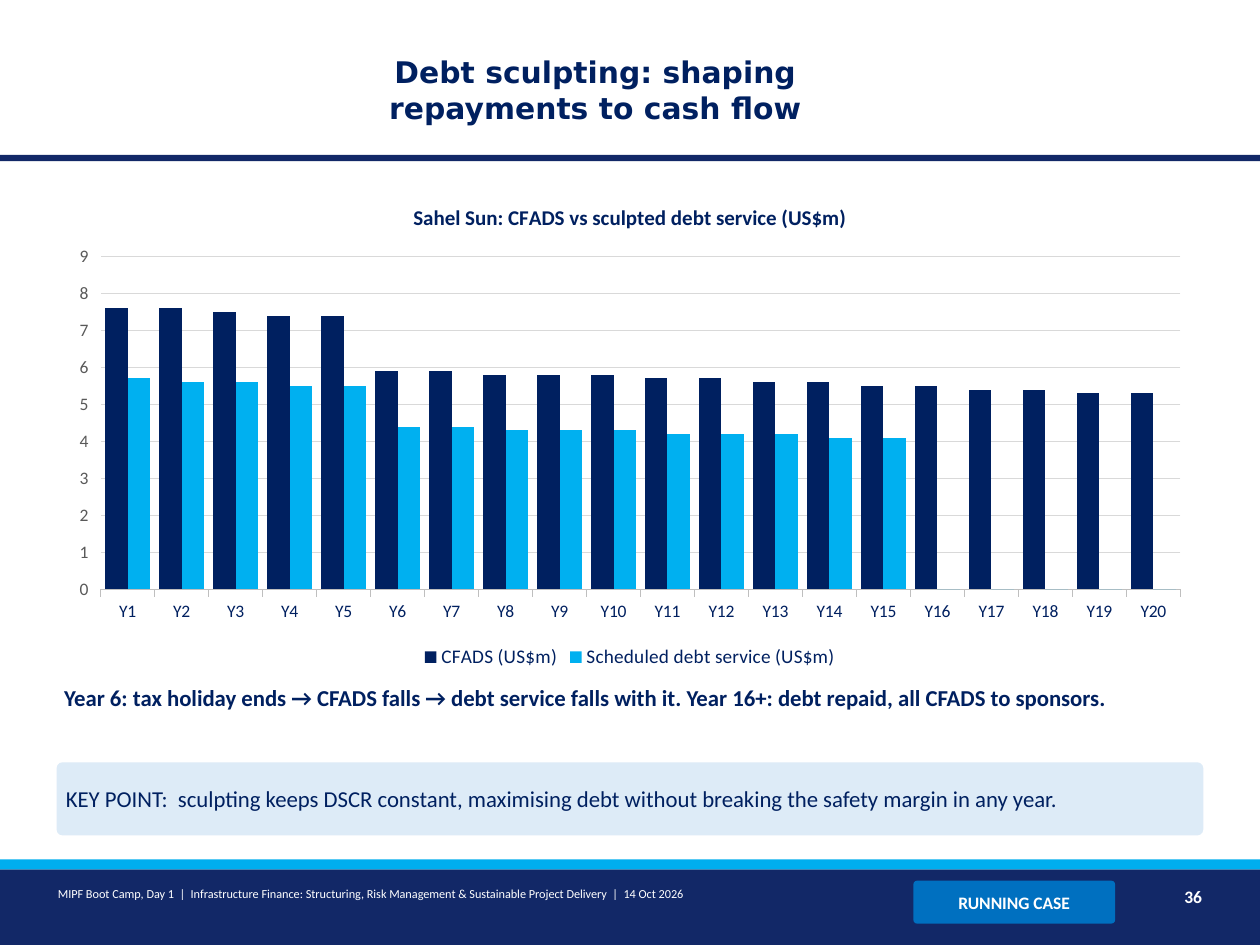
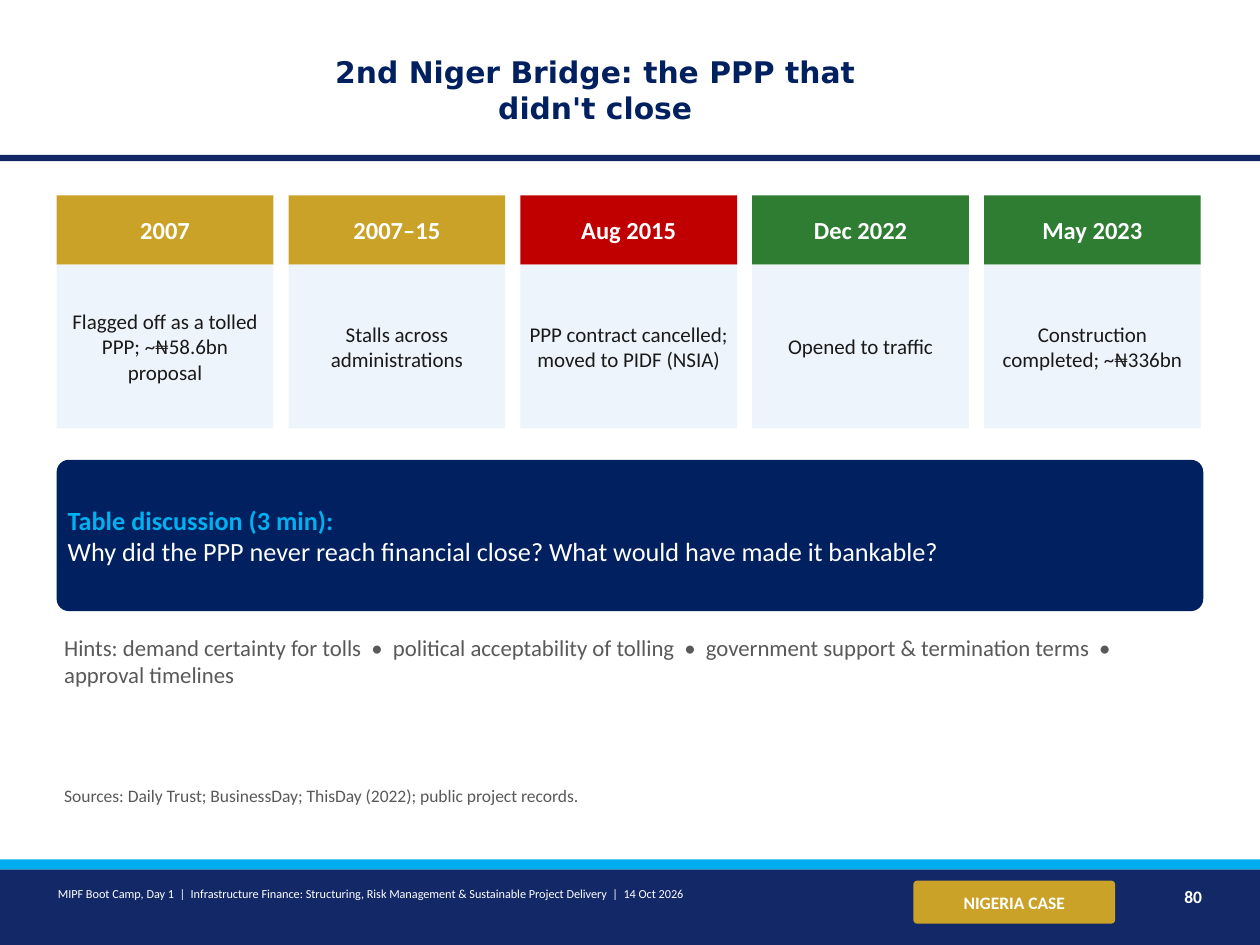
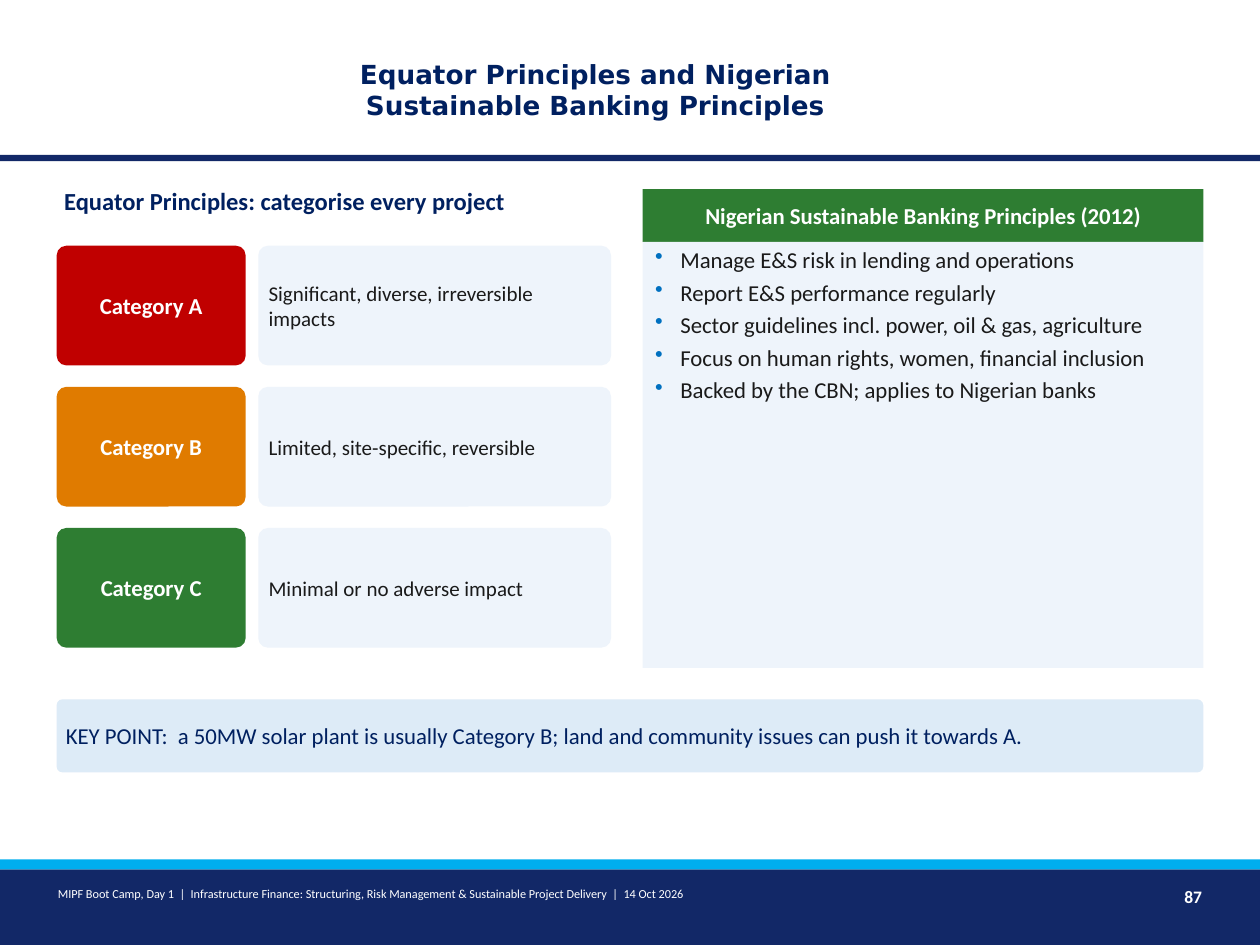
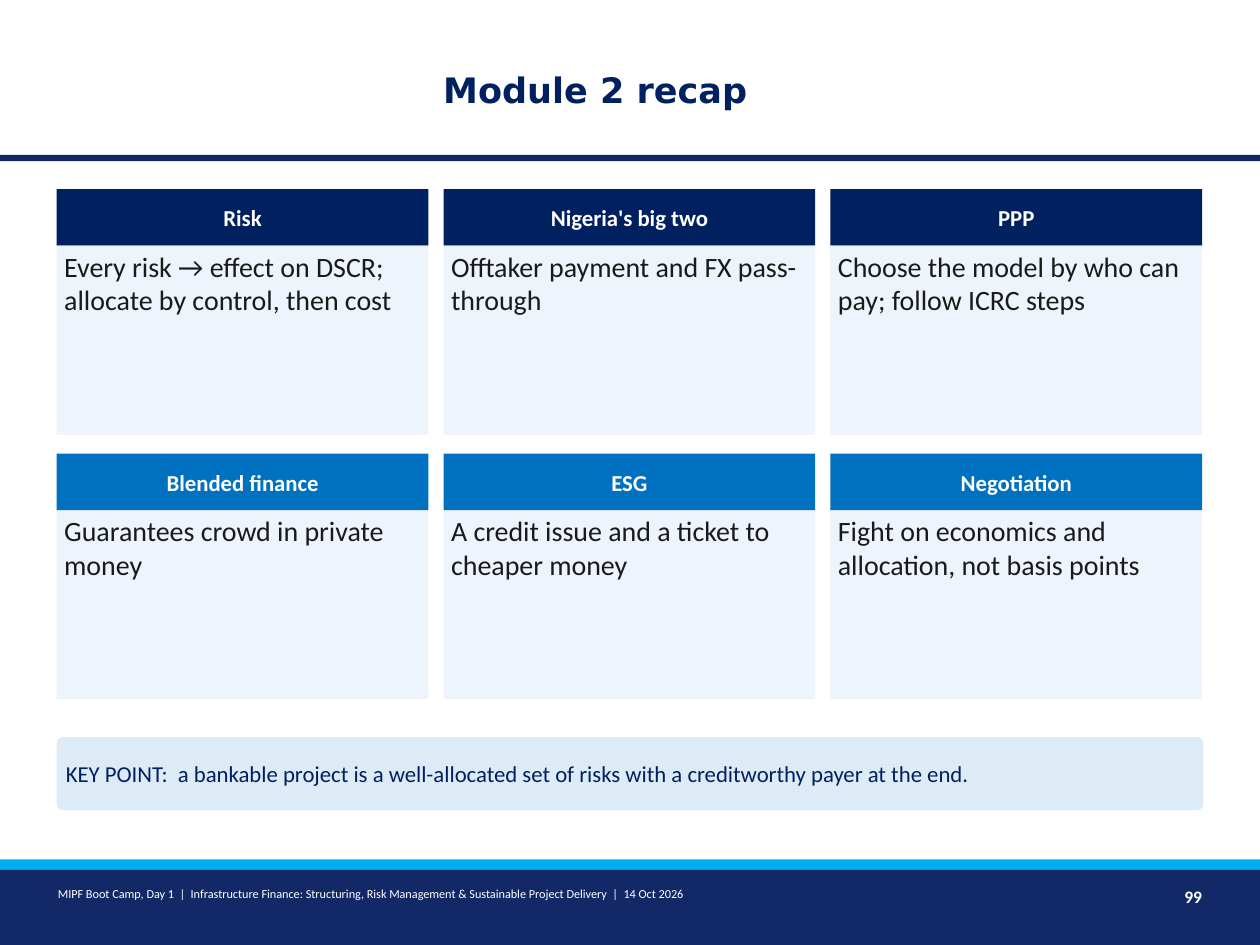
import lxml.etree
import pptx
import pptx.chart.data
import pptx.dml.color
import pptx.enum.chart
import pptx.enum.shapes
import pptx.enum.text
import pptx.oxml.ns
import pptx.util

Inches = pptx.util.Inches
Pt = pptx.util.Pt
ALIGN = pptx.enum.text.PP_ALIGN
ANCHOR = pptx.enum.text.MSO_ANCHOR
FIT = pptx.enum.text.MSO_AUTO_SIZE
RECT = pptx.enum.shapes.MSO_SHAPE.RECTANGLE
ROUND = pptx.enum.shapes.MSO_SHAPE.ROUNDED_RECTANGLE

COLORS = {
    "band": "122867", "stripe": "00AEEF", "navy": "002060", "blue": "0070C0",
    "sky": "00B0F0", "gold": "C9A227", "red": "C00000", "orange": "E07B00",
    "green": "2E7D32", "pale": "EEF4FB", "key": "DDEBF7", "ink": "1A1A1A",
    "gray": "595959", "axis": "BFBFBF", "grid": "D9D9D9", "white": "FFFFFF",
}
LEFT, WIDTH = 0.45, 9.1
GAP = 0.12
FOOTER = ("MIPF Boot Camp, Day 1  |  Infrastructure Finance: Structuring, Risk "
          "Management & Sustainable Project Delivery  |  14 Oct 2026")


def rgb(name):
    return pptx.dml.color.RGBColor.from_string(COLORS[name])


def style(font, size, color, bold=False, face="Calibri"):
    font.name = face
    font.size = Pt(size)
    font.bold = bold
    font.color.rgb = rgb(color)


def bullet(para):
    props = para._p.get_or_add_pPr()
    props.set("marL", str(Inches(0.24)))
    props.set("indent", str(-Inches(0.2)))
    qn = pptx.oxml.ns.qn
    tint = lxml.etree.SubElement(props, qn("a:buClr"))
    lxml.etree.SubElement(tint, qn("a:srgbClr"), val=COLORS["blue"])
    lxml.etree.SubElement(props, qn("a:buChar"), char="•")


def write(shape, text, size, color, bold=False, align=ALIGN.LEFT,
          anchor=ANCHOR.MIDDLE, after=None, dots=False):
    """Fill a shape with text; each line of it becomes a paragraph."""
    frame = shape.text_frame
    frame.word_wrap = True
    frame.vertical_anchor = anchor
    frame.margin_left = frame.margin_right = Inches(0.06)
    frame.margin_top = frame.margin_bottom = Inches(0.03)
    frame.text = text
    for para in frame.paragraphs:
        para.alignment = align
        if after is not None:
            para.space_after = Pt(after)
        if dots:
            bullet(para)
        style(para.font, size, color, bold)


def block(slide, box, fill, kind=RECT):
    shape = slide.shapes.add_shape(kind, *map(Inches, box))
    shape.shadow.inherit = False
    shape.fill.solid()
    shape.fill.fore_color.rgb = rgb(fill)
    shape.line.fill.background()
    if kind == ROUND:
        shape.adjustments[0] = 0.08
    return shape


def label(slide, box, text, size, color, **look):
    shape = slide.shapes.add_textbox(*map(Inches, box))
    write(shape, text, size, color, anchor=ANCHOR.TOP, **look)
    shape.text_frame.auto_size = FIT.SHAPE_TO_FIT_TEXT


def bands(slide):
    """Draw the shared bands and move them to the slide's layout."""
    tree = slide.slide_layout.shapes.element
    for box, fill in (((0, 1.23, 10, 0.05), "band"),
                      ((0, 6.9, 10, 0.6), "band"),
                      ((0, 6.82, 10, 0.08), "stripe")):
        tree.append(block(slide, box, fill).element)


def start(deck, title, page, size=17, tag=None):
    """Add a slide with title, footer, page number and an optional tag."""
    slide = deck.slides.add_slide(deck.slide_layouts[5])
    head = slide.shapes.title
    head.left, head.top, head.width, head.height = map(
        Inches, (2.3, 0.22, 4.85, 0.98))
    frame = head.text_frame
    frame.text = title
    frame.word_wrap = True
    frame.auto_size = FIT.NONE
    frame.vertical_anchor = ANCHOR.MIDDLE
    para = frame.paragraphs[0]
    para.alignment = ALIGN.CENTER
    style(para.font, size, "navy", True, "DejaVu Sans")
    if tag:
        text, fill = tag
        badge = block(slide, (7.25, 6.99, 1.6, 0.34), fill, ROUND)
        write(badge, text, 10, "white", bold=True, align=ALIGN.CENTER)
    label(slide, (0.4, 7, 6.8, 0.35), FOOTER, 7, "white")
    label(slide, (9, 7, 0.6, 0.35), str(page), 10, "white",
          bold=True, align=ALIGN.RIGHT)
    return slide


def key(slide, top, text):
    bar = block(slide, (LEFT, top, WIDTH, 0.58), "key", ROUND)
    write(bar, "KEY POINT:  " + text, 13, "navy")


def card(slide, box, cap, fill, head, body, size, head_size=13, **look):
    """Place a coloured header of height cap above a pale body."""
    left, top, width, height = box
    write(block(slide, (left, top, width, cap), fill), head, head_size,
          "white", bold=True, align=ALIGN.CENTER)
    write(block(slide, (left, top + cap, width, height - cap), "pale"),
          body, size, "ink", **look)


def graph(slide, box):
    data = pptx.chart.data.CategoryChartData()
    data.categories = [f"Y{year}" for year in range(1, 21)]
    data.add_series("CFADS (US$m)", (
        7.6, 7.6, 7.5, 7.4, 7.4, 5.9, 5.9, 5.8, 5.8, 5.8,
        5.7, 5.7, 5.6, 5.6, 5.5, 5.5, 5.4, 5.4, 5.3, 5.3))
    data.add_series("Scheduled debt service (US$m)", (
        5.7, 5.6, 5.6, 5.5, 5.5, 4.4, 4.4, 4.3, 4.3, 4.3,
        4.2, 4.2, 4.2, 4.1, 4.1, 0, 0, 0, 0, 0))
    enum = pptx.enum.chart
    chart = slide.shapes.add_chart(
        enum.XL_CHART_TYPE.COLUMN_CLUSTERED, *map(Inches, box), data).chart
    style(chart.font, 11, "navy")

    chart.has_title = True
    chart.chart_title.include_in_layout = False
    frame = chart.chart_title.text_frame
    frame.text = "Sahel Sun: CFADS vs sculpted debt service (US$m)"
    style(frame.paragraphs[0].font, 12, "navy", True)

    chart.has_legend = True
    chart.legend.position = enum.XL_LEGEND_POSITION.BOTTOM
    chart.legend.include_in_layout = False
    style(chart.legend.font, 11, "navy")

    plot = chart.plots[0]
    plot.gap_width = 40
    plot.overlap = 0
    plot.vary_by_categories = False
    for series, fill in zip(plot.series, ("navy", "sky")):
        series.format.fill.solid()
        series.format.fill.fore_color.rgb = rgb(fill)

    years, money = chart.category_axis, chart.value_axis
    style(years.tick_labels.font, 10, "navy")
    style(money.tick_labels.font, 10, "gray")
    money.minimum_scale, money.maximum_scale, money.major_unit = 0, 9, 1
    money.format.line.fill.background()
    for line, color in ((years.format.line, "axis"),
                        (money.major_gridlines.format.line, "grid")):
        line.color.rgb = rgb(color)
        line.width = Pt(0.75)


def sculpt(deck):
    slide = start(deck, "Debt sculpting: shaping repayments to cash flow", 36,
                  tag=("RUNNING CASE", "blue"))
    bands(slide)
    graph(slide, (LEFT, 1.45, WIDTH, 3.9))
    label(slide, (LEFT, 5.4, WIDTH, 0.6),
          "Year 6: tax holiday ends → CFADS falls → debt service falls with it. "
          "Year 16+: debt repaid, all CFADS to sponsors.",
          13, "navy", bold=True, after=4)
    key(slide, 6.05, "sculpting keeps DSCR constant, maximising debt without "
        "breaking the safety margin in any year.")


def bridge(deck):
    slide = start(deck, "2nd Niger Bridge: the PPP that didn't close", 80,
                  tag=("NIGERIA CASE", "gold"))
    events = (
        ("2007", "gold", "Flagged off as a tolled PPP; ~₦58.6bn proposal"),
        ("2007–15", "gold", "Stalls across administrations"),
        ("Aug 2015", "red", "PPP contract cancelled; moved to PIDF (NSIA)"),
        ("Dec 2022", "green", "Opened to traffic"),
        ("May 2023", "green", "Construction completed; ~₦336bn"),
    )
    width = 1.72
    for col, (date, fill, text) in enumerate(events):
        card(slide, (LEFT + col * (width + GAP), 1.55, width, 1.85), 0.55,
             fill, date, text, 12, head_size=14, align=ALIGN.CENTER)
    task = block(slide, (LEFT, 3.65, WIDTH, 1.2), "navy", ROUND)
    write(task, "Table discussion (3 min):\nWhy did the PPP never reach "
          "financial close? What would have made it bankable?", 15, "white")
    style(task.text_frame.paragraphs[0].font, 15, "sky", True)
    label(slide, (LEFT, 5, WIDTH, 0.95),
          "Hints: demand certainty for tolls  •  political acceptability of "
          "tolling  •  government support & termination terms  •  "
          "approval timelines", 13, "gray", after=4)
    label(slide, (LEFT, 6.2, WIDTH, 0.4),
          "Sources: Daily Trust; BusinessDay; ThisDay (2022); "
          "public project records.", 10, "gray", after=4)


def ranks(slide, left, top):
    """Stack the three project categories, each beside its meaning."""
    rows = (
        ("Category A", "red", "Significant, diverse, irreversible impacts"),
        ("Category B", "orange", "Limited, site-specific, reversible"),
        ("Category C", "green", "Minimal or no adverse impact"),
    )
    for row, (name, fill, text) in enumerate(rows):
        y = top + row * 1.12
        write(block(slide, (left, y, 1.5, 0.95), fill, ROUND), name, 13,
              "white", bold=True, align=ALIGN.CENTER)
        write(block(slide, (left + 1.6, y, 2.8, 0.95), "pale", ROUND), text,
              12, "ink")


def equator(deck):
    slide = start(deck, "Equator Principles and Nigerian Sustainable Banking "
                  "Principles", 87, size=15)
    label(slide, (LEFT, 1.45, 4.4, 0.4),
          "Equator Principles: categorise every project", 14, "navy",
          bold=True, after=4)
    ranks(slide, LEFT, 1.95)
    rules = (
        "Manage E&S risk in lending and operations",
        "Report E&S performance regularly",
        "Sector guidelines incl. power, oil & gas, agriculture",
        "Focus on human rights, women, financial inclusion",
        "Backed by the CBN; applies to Nigerian banks",
    )
    card(slide, (5.1, 1.5, 4.45, 3.8), 0.42, "green",
         "Nigerian Sustainable Banking Principles (2012)", "\n".join(rules),
         13, anchor=ANCHOR.TOP, after=3, dots=True)
    key(slide, 5.55, "a 50MW solar plant is usually Category B; land and "
        "community issues can push it towards A.")


def recap(deck):
    slide = start(deck, "Module 2 recap", 99, size=20)
    topics = (
        ("Risk", "Every risk → effect on DSCR; allocate by control, then cost"),
        ("Nigeria's big two", "Offtaker payment and FX pass-through"),
        ("PPP", "Choose the model by who can pay; follow ICRC steps"),
        ("Blended finance", "Guarantees crowd in private money"),
        ("ESG", "A credit issue and a ticket to cheaper money"),
        ("Negotiation", "Fight on economics and allocation, not basis points"),
    )
    width = 2.95
    for index, (head, text) in enumerate(topics):
        row, col = divmod(index, 3)
        box = (LEFT + col * (width + GAP), 1.5 + row * 2.1, width, 1.95)
        card(slide, box, 0.45, ("navy", "blue")[row], head, text, 16,
             anchor=ANCHOR.TOP, after=3)
    key(slide, 5.85, "a bankable project is a well-allocated set of risks "
        "with a creditworthy payer at the end.")


def main():
    deck = pptx.Presentation()
    deck.slide_width, deck.slide_height = Inches(10), Inches(7.5)
    for build in (sculpt, bridge, equator, recap):
        build(deck)
    deck.save("out.pptx")


if __name__ == "__main__":
    main()
